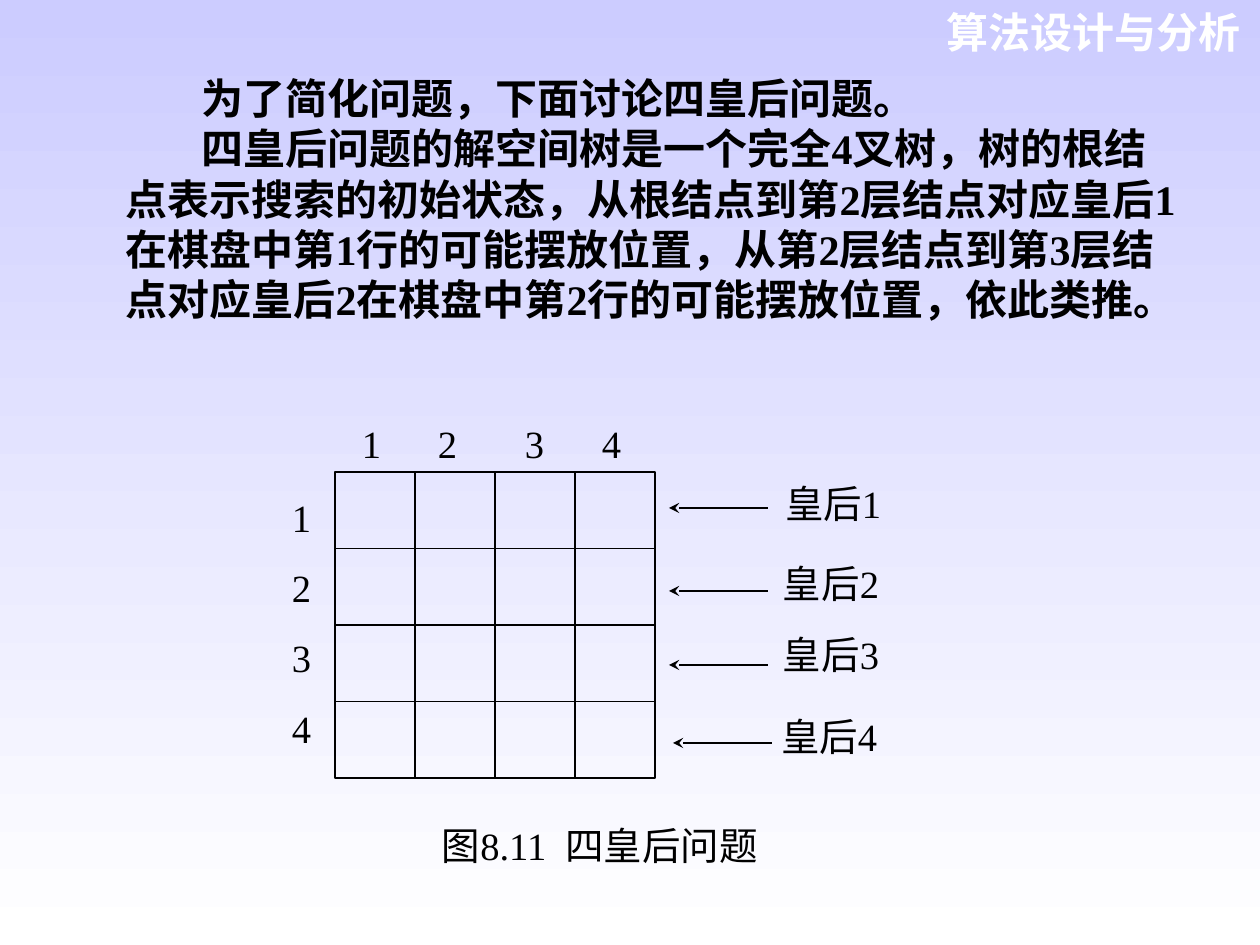
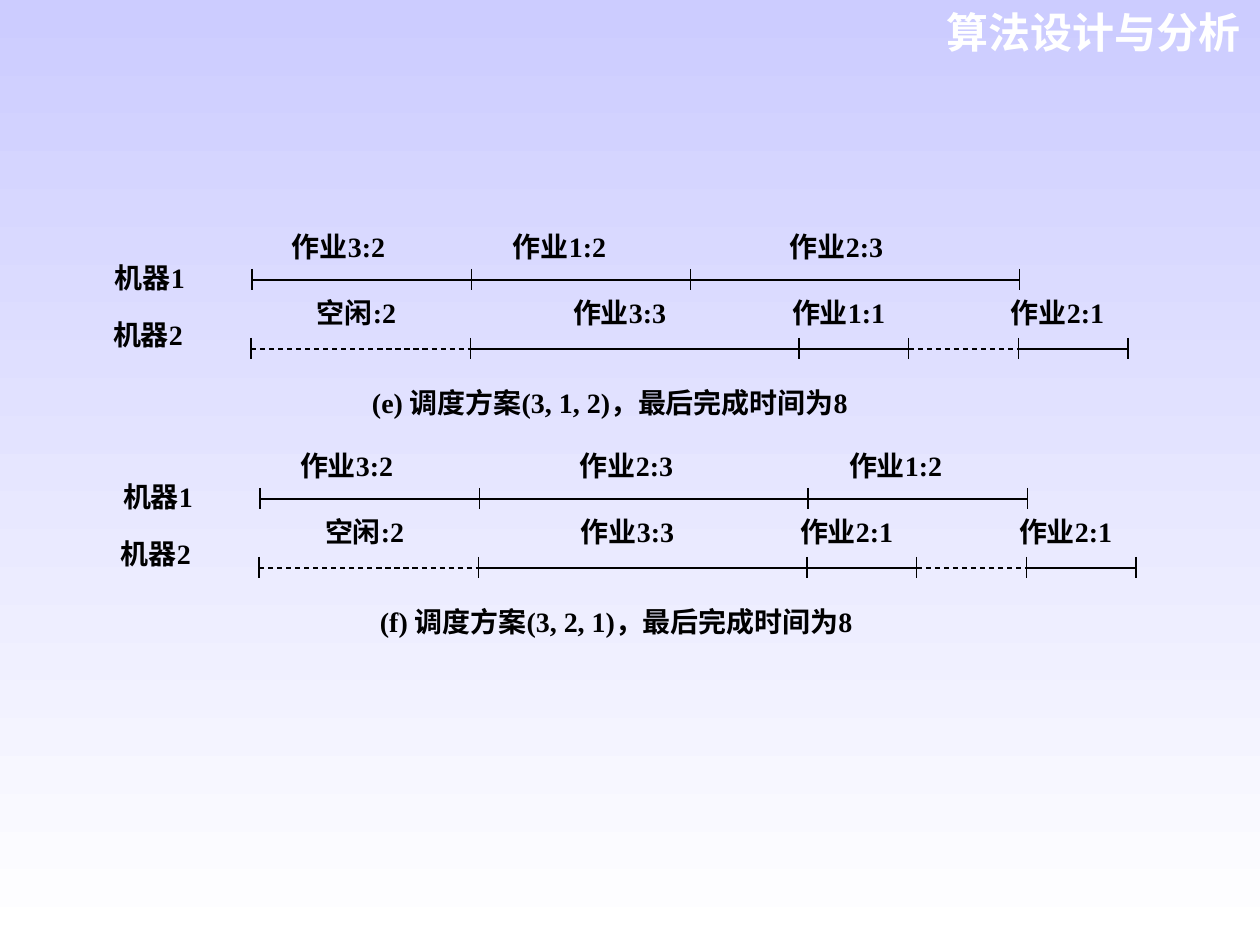
from dataclasses import dataclass

from lxml import etree
from pptx import Presentation
from pptx import util as u
from pptx.dml.color import RGBColor
from pptx.enum import dml, shapes, text
from pptx.oxml import ns

SCALE = 914400 / 126  # EMU in one px


@dataclass(frozen=True)
class Theme:
    ink: str = "000000"
    light: str = "FFFFFF"
    sky: str = "CCCCFF"
    heading: str = "Arial"
    serif: str = "Times New Roman"
    large: int = 24
    medium: int = 22
    small: int = 16
    line: float = 0.75


THEME = Theme()
HEADER = {"name": THEME.heading, "size": u.Pt(THEME.large), "bold": True}
BODY = {"name": THEME.serif, "size": u.Pt(THEME.large), "bold": True}
FIGURE = {"name": THEME.serif, "size": u.Pt(THEME.medium), "bold": False}
CHART = {"name": THEME.serif, "size": u.Pt(THEME.small), "bold": True}

COURSE = "算法设计与分析"
INTRO = [
    "为了简化问题，下面讨论四皇后问题。",
    "四皇后问题的解空间树是一个完全4叉树，树的根结点表示搜索的初始状态，"
    "从根结点到第2层结点对应皇后1在棋盘中第1行的可能摆放位置，"
    "从第2层结点到第3层结点对应皇后2在棋盘中第2行的可能摆放位置，依此类推。",
]


def px(length):
    return u.Emu(round(length * SCALE))


def place(shape, left, top, width, height):
    values = {"left": left, "top": top, "width": width, "height": height}
    for name, value in values.items():
        setattr(shape, name, px(value))


def style_text(para, look, color=THEME.ink):
    for name, value in look.items():
        setattr(para.font, name, value)
    para.font.color.rgb = RGBColor.from_string(color)


def style_line(line):
    line.color.rgb = RGBColor.from_string(THEME.ink)
    line.width = u.Pt(THEME.line)


def fill_placeholder(holder, box, paragraphs, look, color, align, indent=0):
    place(holder, *box)
    frame = holder.text_frame
    settings = {"auto_size": text.MSO_AUTO_SIZE.NONE, "word_wrap": True,
                "vertical_anchor": text.MSO_ANCHOR.TOP}
    for name, value in settings.items():
        setattr(frame, name, value)
    frame.text = "\n".join(paragraphs)
    for para in frame.paragraphs:
        properties = para._p.get_or_add_pPr()
        properties.set("marL", "0")
        properties.set("indent", str(px(indent)))
        etree.SubElement(properties, ns.qn("a:buNone"))
        para.alignment = align
        para.space_before = u.Pt(0)
        style_text(para, look, color)


def add_label(page, left, top, width, height, words, look, spacing):
    box = page.shapes.add_textbox(*map(px, (left, top, width, height)))
    frame = box.text_frame
    frame.word_wrap = True
    for side in ("left", "top", "right", "bottom"):
        setattr(frame, f"margin_{side}", 0)
    frame.text = words
    for para in frame.paragraphs:
        para.alignment = text.PP_ALIGN.JUSTIFY
        para.line_spacing = spacing
        style_text(para, look)


def add_line(page, x1, y1, x2, y2, dashed=False, arrow=False):
    line = page.shapes.add_connector(
        shapes.MSO_CONNECTOR.STRAIGHT, *map(px, (x1, y1, x2, y2)))
    style_line(line.line)
    if dashed:
        line.line.dash_style = dml.MSO_LINE.DASH
    if arrow:
        etree.SubElement(line.line._get_or_add_ln(), ns.qn("a:tailEnd"), type="stealth")
    etree.SubElement(line._element.spPr, ns.qn("a:effectLst"))


def paint_background(master):
    fill = master.background.fill
    fill.gradient()
    fill.gradient_angle = 270
    for stop, color in zip(fill.gradient_stops, (THEME.sky, THEME.light)):
        stop.color.rgb = RGBColor.from_string(color)


def add_page(deck, layout):
    page = deck.slides.add_slide(deck.slide_layouts.get_by_name(layout))
    fill_placeholder(page.shapes.title, (912, 0, 341, 63), [COURSE],
                     HEADER, THEME.light, text.PP_ALIGN.RIGHT)
    return page


# Chessboard with numbered rows and columns
def draw_board(page, left, top, width, height, size=4):
    board = page.shapes.add_shape(
        shapes.MSO_SHAPE.RECTANGLE, *map(px, (left, top, width, height)))
    board.shadow.inherit = False
    board.fill.background()
    style_line(board.line)
    for step in range(1, size):
        x = left + width * step / size
        y = top + height * step / size
        add_line(page, left, y, left + width, y)
        add_line(page, x, top, x, top + height)
    for number, offset in enumerate((27, 103, 190, 267), 1):
        add_label(page, left + offset, top - 49, 40, 42, str(number), FIGURE, 0.96)
    rows = "\n".join(str(number) for number in range(1, size + 1))
    add_label(page, left - 43, top - 2, 38, 299, rows, FIGURE, 1.52)


# Arrows from the queen names to their rows
def draw_queens(page, left, top):
    # Per queen: arrow shift, arrow height, name left, name top
    queens = [(0, 25, 116, 0), (0, 108, 114, 80), (0, 182, 114, 151), (4, 260, 112, 233)]
    for number, (shift, level, name_left, name_top) in enumerate(queens, 1):
        tip = left + shift
        add_line(page, tip + 99, top + level, tip, top + level, arrow=True)
        add_label(page, left + name_left, top + name_top, 134, 45,
                  f"皇后{number}", FIGURE, 0.96)


def build_queens_page(deck):
    page = add_page(deck, "Title and Content")
    fill_placeholder(page.placeholders[1], (113, 66, 1081, 315), INTRO,
                     BODY, THEME.ink, text.PP_ALIGN.LEFT, indent=76)
    draw_board(page, 335, 472, 320, 306)
    draw_queens(page, 669, 483)
    add_label(page, 442, 825, 340, 49, "图8.11  四皇后问题", FIGURE, 0.96)


# One machine: segments hold a label, its left offset, a duration and an idle flag
def draw_machine(page, left, level, segments, label_rise):
    unit = 877 / 8
    add_line(page, left, level - 11, left, level + 10)
    elapsed = 0
    for words, label_left, duration, idle in segments:
        start = left + elapsed * unit
        elapsed += duration
        end = left + elapsed * unit
        add_line(page, start, level, end, level, dashed=idle)
        add_line(page, end, level - 11, end, level + 10)
        if words:
            add_label(page, left + label_left, level - label_rise, 135, 31,
                      words, CHART, 0.8)


# Two machines and the caption of one schedule
def draw_schedule(page, left, top, first, second, caption):
    draw_machine(page, left, top, first, 44)
    draw_machine(page, left - 1, top + 69, second, 47)
    for words, x, y in (("机器1", -137, -13), ("机器2", -139, 44)):
        add_label(page, left + x, top + y, 106, 33, words, CHART, 0.8)
    add_label(page, left + 120, top + 112, 638, 33, caption, CHART, 0.8)


def second_machine(third_job):
    return [("空闲:2", 66, 2, True), ("作业3:3", 322, 3, False),
            (third_job, 541, 1, False), ("", 0, 1, True), ("作业2:1", 760, 1, False)]


def build_schedules_page(deck):
    page = add_page(deck, "Title Only")
    job_three = ("作业3:2", 40, 2, False)
    draw_schedule(
        page, 252, 280,
        [job_three, ("作业1:2", 261, 2, False), ("作业2:3", 538, 3, False)],
        second_machine("作业1:1"), "(e) 调度方案(3, 1, 2)，最后完成时间为8")
    draw_schedule(
        page, 260, 499,
        [job_three, ("作业2:3", 320, 3, False), ("作业1:2", 589, 2, False)],
        second_machine("作业2:1"), "(f) 调度方案(3, 2, 1)，最后完成时间为8")


def main():
    deck = Presentation()
    deck.slide_width, deck.slide_height = px(1260), px(945)
    paint_background(deck.slide_master)
    build_queens_page(deck)
    build_schedules_page(deck)
    deck.save("out.pptx")


if __name__ == "__main__":
    main()
